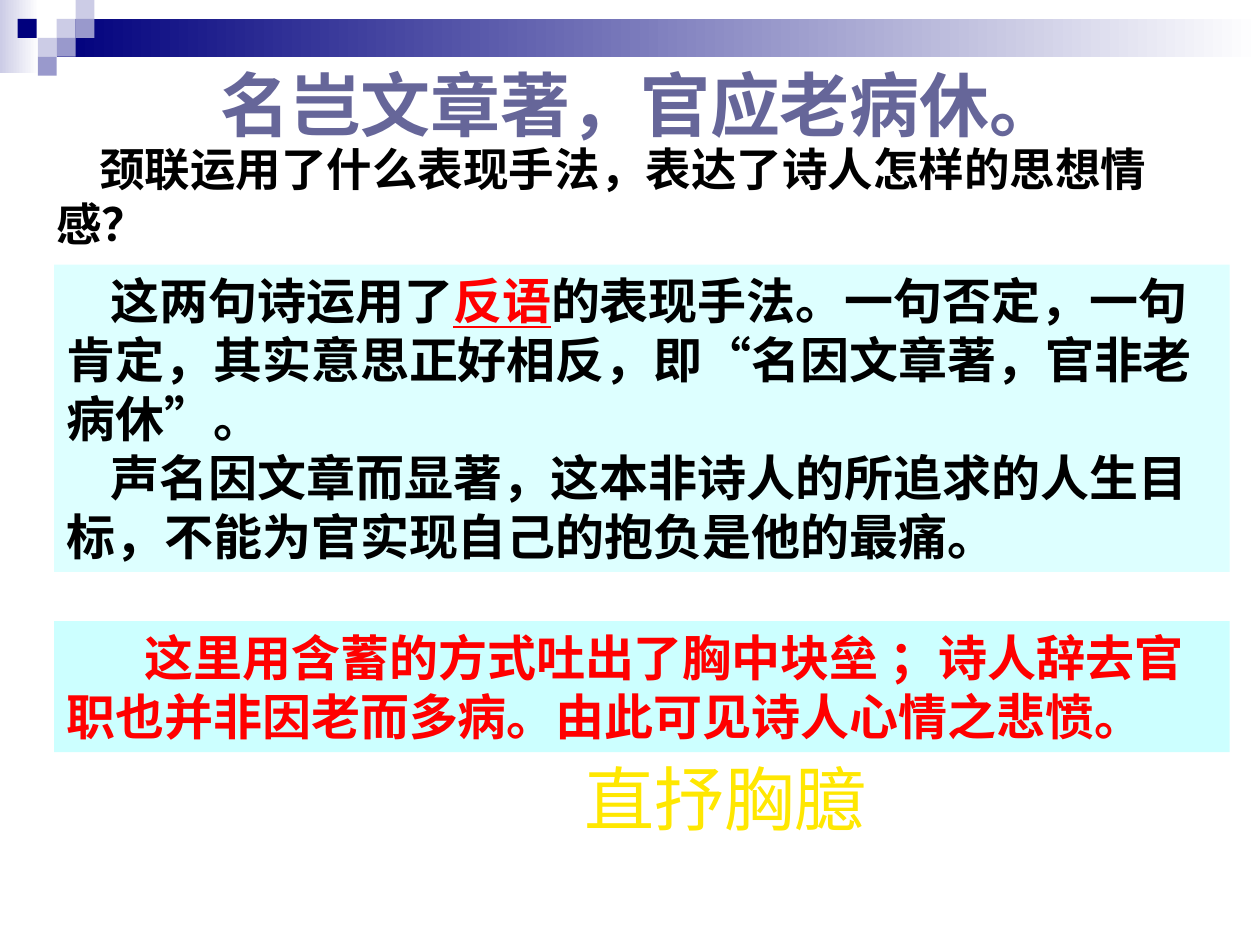
from pptx import Presentation
from pptx.util import Inches, Pt
from pptx.dml.color import RGBColor
from pptx.enum import shapes, text
from pptx.oxml import ns
from lxml import etree

COLORS = {"navy": "00007D", "pale": "CCCCE6", "lilac": "9999CC", "white": "FFFFFF",
          "title": "666699", "black": "000000", "red": "FF0000", "yellow": "FFE701",
          "light_cyan": "DDFFFF", "cyan": "CCFFFF"}
FONT = "Noto Sans CJK SC"


def add_rect(x, y, w, h, color, fade_to=None):
    sp = s.shapes.add_shape(shapes.MSO_SHAPE.RECTANGLE,
                            Inches(x), Inches(y), Inches(w), Inches(h))
    sp.shadow.inherit = False
    sp.line.fill.background()
    if fade_to:
        sp.fill.gradient()
        sp.fill.gradient_angle = 0
        for stop, name in zip(sp.fill.gradient_stops, (color, fade_to)):
            stop.color.rgb = RGBColor.from_string(COLORS[name])
    else:
        sp.fill.solid()
        sp.fill.fore_color.rgb = RGBColor.from_string(COLORS[color])
    return sp


def write(sp, paragraphs, size, font=FONT, bold=True, indent=0,
          align=text.PP_ALIGN.LEFT, wrap=True):
    tf = sp.text_frame
    tf.word_wrap = wrap
    tf.vertical_anchor = text.MSO_ANCHOR.TOP
    for i, runs in enumerate(paragraphs):
        p = tf.add_paragraph() if i else tf.paragraphs[0]
        p.alignment = align
        p._p.get_or_add_pPr().set("indent", str(Inches(indent)))
        for words, color, underline in runs:
            r = p.add_run()
            r.text = words
            r.font.size = Pt(size)
            r.font.bold = bold
            r.font.underline = underline
            r.font.name = font
            r.font.color.rgb = RGBColor.from_string(COLORS[color])
            ea = etree.SubElement(r._r.get_or_add_rPr(), ns.qn("a:ea"))
            ea.set("typeface", FONT)


prs = Presentation()
prs.slide_width, prs.slide_height = Inches(10), Inches(7.5)
s = prs.slides.add_slide(prs.slide_layouts[6])

# Header bands and checkered squares
add_rect(0, 0, 0.31, 0.58, "pale", "white")
add_rect(0.45, 0.15, 9.55, 0.3, "navy", "white")
for x, y, color in [(0.45, 0.15, "pale"), (0.6, 0, "pale"), (0.6, 0.15, "lilac"),
                    (0.3, 0.3, "pale"), (0.14, 0.15, "navy"),
                    (0.45, 0.3, "lilac"), (0.3, 0.45, "lilac")]:
    add_rect(x, y, 0.15, 0.15, color)

# Title: the couplet
title = s.shapes.add_textbox(Inches(0.59), Inches(0.44), Inches(8.98), Inches(1.43))
write(title, [[("名岂文章著，官应老病休。", "title", False)]], 40,
      align=text.PP_ALIGN.CENTER)

# Question
question = s.shapes.add_textbox(Inches(0.35), Inches(1.07), Inches(9.21), Inches(0.97))
write(question, [[("颈联运用了什么表现手法，表达了诗人怎样的思想情感？", "black", False)]],
      26, indent=0.34)

# Answer panel
answer = add_rect(0.43, 2.1, 9.33, 2.44, "light_cyan")
write(answer, [
    [("这两句诗运用了", "black", False),
     ("反语", "red", True),
     ("的表现手法。一句否定，一句肯定，其实意思正好相反，即“名因文章著，官非老病休”。",
      "black", False)],
    [("声名因文章而显著，这本非诗人的所追求的人生目标，不能为官实现自己的抱负是他的最痛。",
      "black", False)],
], 28, indent=0.35)

# Conclusion panel
conclusion = add_rect(0.43, 4.93, 9.33, 1.04, "cyan")
write(conclusion, [[("这里用含蓄的方式吐出了胸中块垒 ；诗人辞去官职也并非因老而多病。"
                     "由此可见诗人心情之悲愤。", "red", False)]],
      28, font="Arial", indent=0.62)

# Closing phrase
closing = s.shapes.add_textbox(Inches(3.82), Inches(5.95), Inches(3.86), Inches(1.31))
write(closing, [[("直抒胸臆", "yellow", False)]], 40, bold=False,
      align=text.PP_ALIGN.CENTER, wrap=False)

prs.save("out.pptx")
